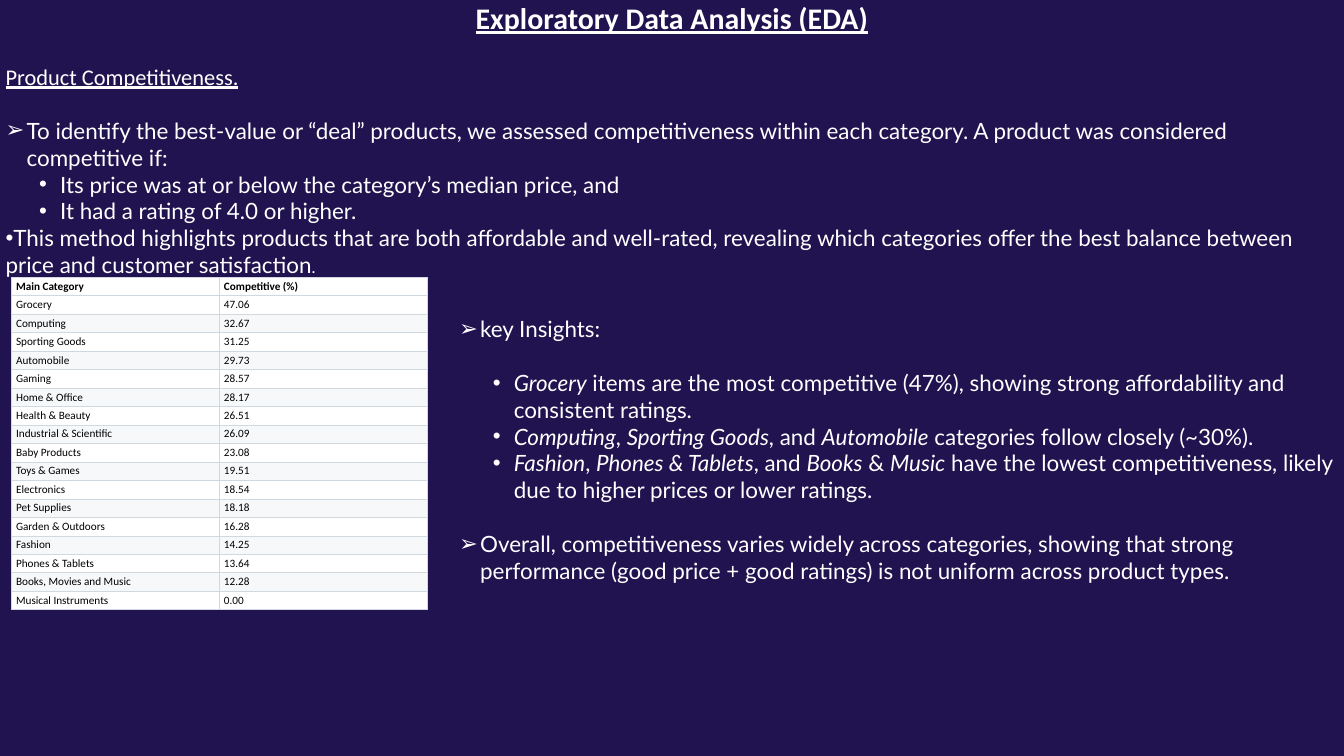
from dataclasses import dataclass

from lxml import etree
from pptx import Presentation
from pptx import util as u
from pptx.dml.color import RGBColor
from pptx.enum import text
from pptx.oxml import ns

PX = 9525


@dataclass(frozen=True)
class Theme:
    background: str = "20134F"
    body_color: str = "FFFFFF"
    table_color: str = "000000"
    row_fills: tuple = ("FFFFFF", "F6F8FA")
    border: str = "D1D9E0"
    border_width: float = 0.53
    heading_font: str = "Calibri"
    body_font: str = "Lato"
    title_size: int = 32
    body_size: int = 24
    stop_size: int = 18
    table_size: int = 12
    gap: int = 29


class SlideBuilder:
    def __init__(self, slide, theme):
        self.slide = slide
        self.theme = theme
        slide.background.fill.solid()
        slide.background.fill.fore_color.rgb = RGBColor.from_string(theme.background)

    def text_box(self, left, top, width, height):
        box = self.slide.shapes.add_textbox(left * PX, top * PX, width * PX, height * PX)
        frame = box.text_frame
        frame.word_wrap = True
        frame.margin_left = frame.margin_top = frame.margin_right = frame.margin_bottom = 0
        return frame

    def paragraph(self, frame, gap=False):
        first = frame.paragraphs[0]
        line = frame.add_paragraph() if first.runs else first
        line.space_before = u.Pt(self.theme.gap if gap else 0)
        return line

    def run(self, line, words, size=None, font=None, color=None,
            bold=False, italic=False, underline=False):
        run = line.add_run()
        run.text = words
        run.font.size = u.Pt(size or self.theme.body_size)
        run.font.name = font or self.theme.body_font
        run.font.color.rgb = RGBColor.from_string(color or self.theme.body_color)
        run.font.bold = bold
        run.font.italic = italic
        run.font.underline = underline

    def bullet(self, frame, words, mark="•", indent=0, hang=30, level=0, gap=False):
        line = self.paragraph(frame, gap)
        line.level = level
        props = line._p.get_or_add_pPr()
        props.set("marL", str(indent * PX))
        props.set("indent", str(-hang * PX))
        etree.SubElement(props, ns.qn("a:buFont")).set("typeface", "Arial")
        etree.SubElement(props, ns.qn("a:buChar")).set("char", mark)
        for index, part in enumerate(words.split("*")):
            if part:
                self.run(line, part, italic=index % 2 == 1)
        return line

    def point(self, frame, words, gap=False):
        return self.bullet(frame, words, mark="➢", indent=30, gap=gap)

    def subpoint(self, frame, words, gap=False):
        return self.bullet(frame, words, indent=78, level=1, gap=gap)

    def table(self, left, top, width, height, rows):
        table = self.slide.shapes.add_table(
            len(rows), len(rows[0]), left * PX, top * PX, width * PX, height * PX).table
        table.first_row = table.horz_banding = False
        for row_index, row in enumerate(rows):
            fill = self.theme.row_fills[row_index > 0 and row_index % 2 == 0]
            for column_index, words in enumerate(row):
                self.cell(table.cell(row_index, column_index), words, fill, row_index == 0)

    def cell(self, cell, words, fill, bold):
        cell.margin_left = cell.margin_right = 7 * PX
        cell.margin_top = cell.margin_bottom = 3 * PX
        cell.vertical_anchor = text.MSO_ANCHOR.MIDDLE
        cell.fill.solid()
        cell.fill.fore_color.rgb = RGBColor.from_string(fill)
        self.run(cell.text_frame.paragraphs[0], words, self.theme.table_size,
                 self.theme.heading_font, self.theme.table_color, bold)
        props = cell._tc.get_or_add_tcPr()
        for position, side in enumerate(("lnL", "lnR", "lnT", "lnB")):
            edge = etree.Element(ns.qn(f"a:{side}"), w=str(u.Pt(self.theme.border_width)))
            solid = etree.SubElement(edge, ns.qn("a:solidFill"))
            etree.SubElement(solid, ns.qn("a:srgbClr")).set("val", self.theme.border)
            props.insert(position, edge)


COMPETITIVENESS = [
    ("Main Category", "Competitive (%)"),
    ("Grocery", "47.06"),
    ("Computing", "32.67"),
    ("Sporting Goods", "31.25"),
    ("Automobile", "29.73"),
    ("Gaming", "28.57"),
    ("Home & Office", "28.17"),
    ("Health & Beauty", "26.51"),
    ("Industrial & Scientific", "26.09"),
    ("Baby Products", "23.08"),
    ("Toys & Games", "19.51"),
    ("Electronics", "18.54"),
    ("Pet Supplies", "18.18"),
    ("Garden & Outdoors", "16.28"),
    ("Fashion", "14.25"),
    ("Phones & Tablets", "13.64"),
    ("Books, Movies and Music", "12.28"),
    ("Musical Instruments", "0.00"),
]


def main():
    deck = Presentation()
    deck.slide_width, deck.slide_height = 1920 * PX, 1080 * PX
    theme = Theme()
    page = SlideBuilder(deck.slides.add_slide(deck.slide_layouts[6]), theme)

    method = page.text_box(8, 0, 1904, 459)
    title = page.paragraph(method)
    title.alignment = text.PP_ALIGN.CENTER
    page.run(title, "Exploratory Data Analysis (EDA)", theme.title_size,
             theme.heading_font, bold=True, underline=True)
    subtitle = page.paragraph(method, gap=True)
    page.run(subtitle, "Product Competitiveness.", font=theme.heading_font, underline=True)
    page.point(method, "To identify the best-value or “deal” products, we assessed "
               "competitiveness within each category. A product was considered "
               "competitive if:", gap=True)
    page.subpoint(method, "Its price was at or below the category’s median price, and")
    page.subpoint(method, "It had a rating of 4.0 or higher.")
    summary = page.bullet(method, "This method highlights products that are both affordable "
                          "and well-rated, revealing which categories offer the best balance "
                          "between price and customer satisfaction", hang=0)
    page.run(summary, ".", theme.stop_size)

    page.table(16, 396, 594, 475, COMPETITIVENESS)

    insights = page.text_box(656, 450, 1248, 485)
    page.point(insights, "key Insights:")
    page.subpoint(insights, "*Grocery* items are the most competitive (47%), showing strong "
                  "affordability and consistent ratings.", gap=True)
    page.subpoint(insights, "*Computing*, *Sporting Goods*, and *Automobile* categories "
                  "follow closely (~30%).")
    page.subpoint(insights, "*Fashion*, *Phones & Tablets*, and *Books* & *Music* have the "
                  "lowest competitiveness, likely due to higher prices or lower ratings.")
    page.point(insights, "Overall, competitiveness varies widely across categories, showing "
               "that strong performance (good price + good ratings) is not uniform across "
               "product types.", gap=True)

    deck.save("out.pptx")


if __name__ == "__main__":
    main()
